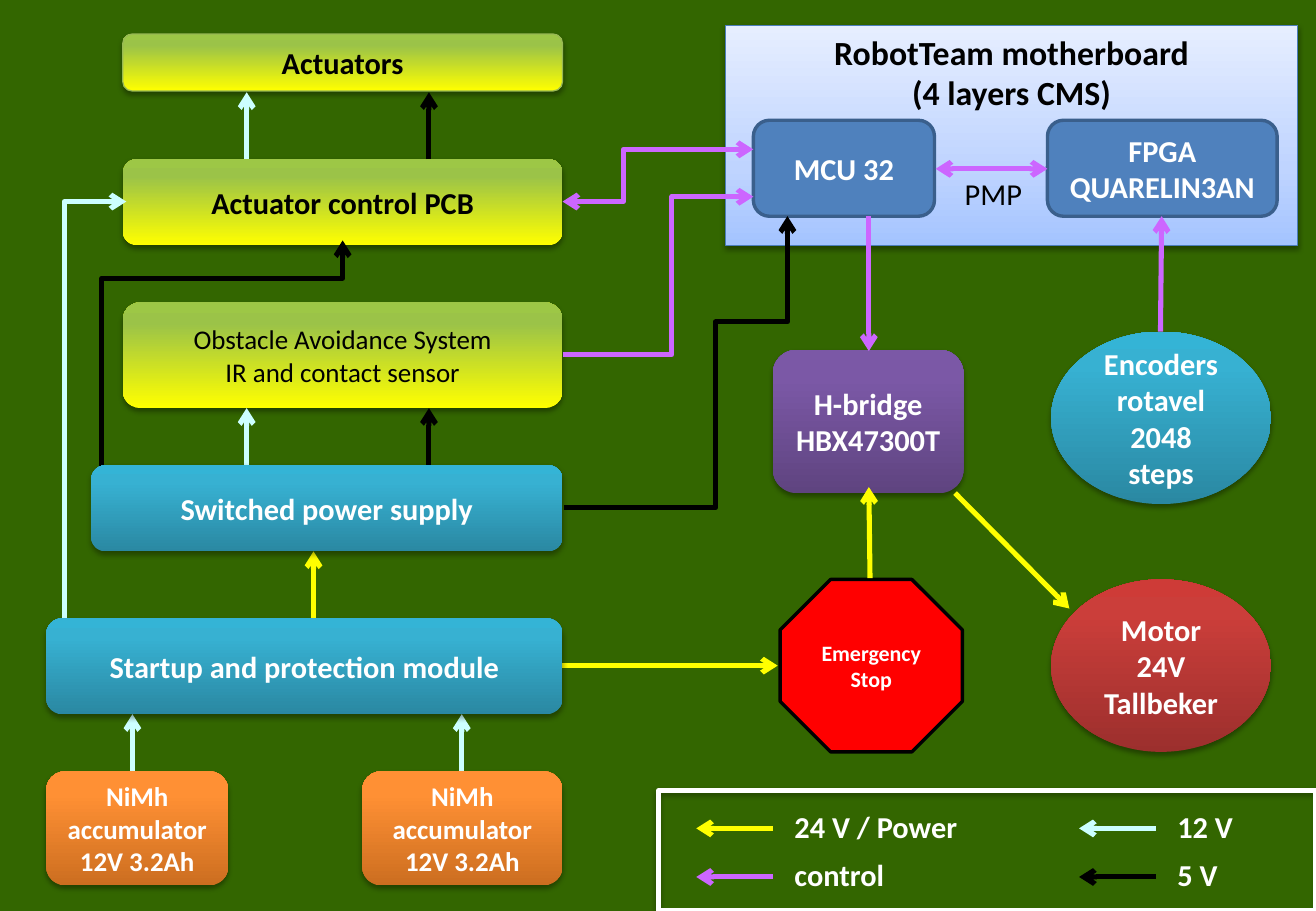
import copy
import dataclasses
import lxml.etree
import pptx
import pptx.dml.color
import pptx.enum.shapes
import pptx.enum.text
import pptx.oxml.ns
import pptx.util

SHAPES = pptx.enum.shapes.MSO_SHAPE
CONNECTORS = pptx.enum.shapes.MSO_CONNECTOR
ALIGN = pptx.enum.text.PP_ALIGN
ANCHOR = pptx.enum.text.MSO_ANCHOR
CELL = pptx.util.Inches(0.1)
COLUMNS, ROWS = 108.3, 75
STOPS = (0, 0.8, 1)


@dataclasses.dataclass(frozen=True)
class Theme:
    font: str = "Calibri"
    heading: int = 20
    label: int = 18
    detail: int = 16
    warning: int = 13
    arrow: int = 3
    ground: str = "336600"
    light: str = "FFFFFF"
    dark: str = "000000"
    chip: str = "4F81BD"
    chip_edge: str = "3A5F8C"
    board_edge: str = "4B7EBC"
    actuator_edge: str = "98B955"
    stop: str = "FF0000"
    power: str = "FFFF00"
    control: str = "CC66FF"
    volts12: str = "CCFFFF"
    volts5: str = "000000"
    board: tuple = ("A4C4FF", "BFD4FF", "E6EEFF")
    lime: tuple = ("FFFF00", "9BC348", "9DC746")
    violet: tuple = ("5F4480", "7B58A6", "7C57A8")
    red: tuple = ("9C2F2D", "CB3E3A", "CE3B37")
    teal: tuple = ("2A88A2", "37B1D2", "34B4D6")
    orange: tuple = ("CC6E20", "FF9034", "FF9136")


THEME = Theme()


def cells(*counts):
    return [round(count * CELL) for count in counts]


def rgb(color):
    return pptx.dml.color.RGBColor.from_string(color)


def add_xml(parent, tag, **attributes):
    values = {name: str(value) for name, value in attributes.items()}
    return lxml.etree.SubElement(parent, pptx.oxml.ns.qn(tag), values)


def write(shape, lines, size=THEME.label, color=THEME.light, bold=True,
          align=ALIGN.CENTER, anchor=ANCHOR.MIDDLE, gap=0):
    frame = shape.text_frame
    frame.word_wrap = True
    frame.vertical_anchor = anchor
    for index, line in enumerate(lines):
        para = frame.add_paragraph() if index else frame.paragraphs[0]
        para.alignment = align
        para.space_before = pptx.util.Pt(gap if index else 0)
        span = para.add_run()
        span.text = line
        span.font.name = THEME.font
        span.font.size = pptx.util.Pt(size)
        span.font.bold = bold
        span.font.color.rgb = rgb(color)


def paint(shape, fill, stops):
    if fill is None:
        shape.fill.background()
    elif isinstance(fill, str):
        shape.fill.solid()
        shape.fill.fore_color.rgb = rgb(fill)
    else:
        shape.fill.gradient()
        shape.fill.gradient_angle = 90
        stop_list = next(shape._element.spPr.iter(pptx.oxml.ns.qn("a:gsLst")))
        stop_list.append(copy.deepcopy(stop_list[0]))
        for stop, color, position in zip(shape.fill.gradient_stops, fill, stops):
            stop.color.rgb = rgb(color)
            stop.position = position


def cast_shadow(shape):
    effects = shape._element.spPr.find(pptx.oxml.ns.qn("a:effectLst"))
    shadow = add_xml(effects, "a:outerShdw", blurRad=pptx.util.Pt(3.1),
                     dist=pptx.util.Pt(1.8), dir=5400000, rotWithShape=0)
    color = add_xml(shadow, "a:srgbClr", val=THEME.dark)
    add_xml(color, "a:alpha", val=35000)


def add_box(page, place, lines, fill, kind=SHAPES.ROUNDED_RECTANGLE, edge=None,
            edge_width=0.75, shadow=True, stops=STOPS, **text_format):
    box = page.shapes.add_shape(kind, *cells(*place))
    box.shadow.inherit = False
    paint(box, fill, stops)
    if edge:
        box.line.color.rgb = rgb(edge)
        box.line.width = pptx.util.Pt(edge_width)
    else:
        box.line.fill.background()
    if shadow:
        cast_shadow(box)
    write(box, lines, **text_format)


def add_label(page, place, lines, **text_format):
    label = page.shapes.add_textbox(*cells(*place))
    write(label, lines, anchor=ANCHOR.TOP, **text_format)


def add_arrow(page, start, end, color, both=False, bend_x=None, bend_y=None):
    kind = CONNECTORS.STRAIGHT if bend_x is None else CONNECTORS.ELBOW
    arrow = page.shapes.add_connector(kind, *cells(*start, *end))
    arrow.line.color.rgb = rgb(color)
    arrow.line.width = pptx.util.Pt(THEME.arrow)
    outline = arrow.line._get_or_add_ln()
    if both:
        add_xml(outline, "a:headEnd", type="arrow")
    add_xml(outline, "a:tailEnd", type="arrow")
    add_xml(arrow._element.spPr, "a:effectLst")
    if bend_x is not None:
        geometry = arrow._element.spPr.find(pptx.oxml.ns.qn("a:prstGeom"))
        guides = geometry.find(pptx.oxml.ns.qn("a:avLst"))
        if bend_y is not None:
            geometry.set("prst", "bentConnector4")
        for axis, bend in enumerate((bend_x, bend_y)):
            if bend is not None:
                share = (bend - start[axis]) / (end[axis] - start[axis])
                add_xml(guides, "a:gd", name=f"adj{axis + 1}",
                        fmla=f"val {round(share * 100000)}")


def add_motherboard(page):
    add_box(page, (59.7, 2.1, 47.1, 18.1),
            ["RobotTeam motherboard", "(4 layers CMS)"], THEME.board,
            SHAPES.RECTANGLE, edge=THEME.board_edge, stops=(0, 0.35, 1),
            size=THEME.heading, color=THEME.dark, anchor=ANCHOR.TOP)
    for left, width, lines in ((62, 14.9, ["MCU 32"]),
                               (86.2, 18.9, ["FPGA", "QUARELIN3AN"])):
        add_box(page, (left, 9.9, width, 7.9), lines, THEME.chip,
                edge=THEME.chip_edge, edge_width=2, shadow=False)
    add_label(page, (77.8, 13.9, 7.9, 4), ["PMP"], color=THEME.dark, bold=False)


def add_devices(page):
    add_box(page, (10.1, 2.8, 36.2, 4.7), ["Actuators"], THEME.lime,
            edge=THEME.actuator_edge, color=THEME.dark)
    add_box(page, (10.1, 13.1, 36.2, 7.1), ["Actuator control PCB"], THEME.lime,
            color=THEME.dark)
    add_box(page, (10.1, 24.9, 36.2, 8.7),
            ["Obstacle Avoidance System", "IR and contact sensor"], THEME.lime,
            size=THEME.detail, color=THEME.dark, bold=False)
    add_box(page, (63.6, 28.8, 15.7, 11.8), ["H-bridge", "HBX47300T"], THEME.violet)
    add_box(page, (86.5, 27.3, 18.1, 14.2), ["Encoders rotavel", "2048 steps"],
            THEME.teal, SHAPES.OVAL)
    add_box(page, (86.5, 47.7, 18.1, 14.2), ["Motor 24V", "Tallbeker"],
            THEME.red, SHAPES.OVAL)
    add_box(page, (64.2, 47.7, 15, 14.2), ["Emergency Stop"], THEME.stop,
            SHAPES.OCTAGON, edge=THEME.dark, edge_width=2, shadow=False,
            size=THEME.warning)


def add_wiring(page):
    for top, bottom in ((7.6, 13.1), (33.6, 38.3)):
        add_arrow(page, (20.3, bottom), (20.3, top), THEME.volts12)
        add_arrow(page, (35.3, bottom), (35.3, top), THEME.volts5)
    for column in (10.9, 38):
        add_arrow(page, (column, 63.9), (column, 58.8), THEME.volts12)
    add_arrow(page, (4.1, 54.8), (10.4, 16.6), THEME.volts12, bend_x=5.3)
    add_arrow(page, (7.8, 41.8), (28.2, 19.8), THEME.volts5, bend_x=8.4, bend_y=22.9)
    add_arrow(page, (46.4, 41.8), (64.8, 17.8), THEME.volts5, bend_x=58.9, bend_y=26.5)
    add_arrow(page, (62, 12.3), (46.3, 16.6), THEME.control, both=True, bend_x=51.3)
    add_arrow(page, (46.3, 29.2), (62, 16.2), THEME.control, bend_x=55.3)
    add_arrow(page, (77, 13.9), (86.2, 13.9), THEME.control, both=True)
    add_arrow(page, (71.5, 17.8), (71.5, 28.9), THEME.control)
    add_arrow(page, (95.5, 27.3), (95.6, 17.8), THEME.control)
    add_arrow(page, (25.8, 51.7), (25.8, 45.4), THEME.power)
    add_arrow(page, (45.9, 54.8), (64, 54.8), THEME.power)
    add_arrow(page, (71.6, 47.6), (71.5, 40.1), THEME.power)
    add_arrow(page, (78.6, 40.6), (88, 50.1), THEME.power)


def add_supplies(page):
    add_box(page, (3.8, 50.9, 42.5, 7.9), ["Startup and protection module"], THEME.teal)
    add_box(page, (7.5, 38.3, 38.8, 7.1), ["Switched power supply"], THEME.teal)
    for left, width in ((3.8, 15), (29.8, 16.5)):
        add_box(page, (left, 63.5, width, 9.4), ["NiMh accumulator", "12V 3.2Ah"],
                THEME.orange, size=THEME.detail)


def add_legend(page):
    add_box(page, (54.2, 65.1, 54.1, 9.9), [], None, SHAPES.RECTANGLE,
            edge=THEME.light, edge_width=3)
    columns = ((57.3, 64.4, 22, (("24 V / Power", THEME.power), ("control", THEME.control))),
               (88.8, 95.9, 9.4, (("12 V", THEME.volts12), ("5 V", THEME.volts5))))
    for tip, left, width, entries in columns:
        add_label(page, (left, 66, width, 8.1), [name for name, color in entries],
                  align=ALIGN.LEFT, gap=7.3)
        for index, (name, color) in enumerate(entries):
            row = 68.2 + 4 * index
            add_arrow(page, (tip + 6.3, row), (tip, row), color)


def main():
    deck = pptx.Presentation()
    deck.slide_width, deck.slide_height = cells(COLUMNS, ROWS)
    page = deck.slides.add_slide(deck.slide_layouts[6])
    page.background.fill.solid()
    page.background.fill.fore_color.rgb = rgb(THEME.ground)
    add_motherboard(page)
    add_devices(page)
    add_legend(page)
    add_wiring(page)
    add_supplies(page)
    deck.save("out.pptx")


main()
